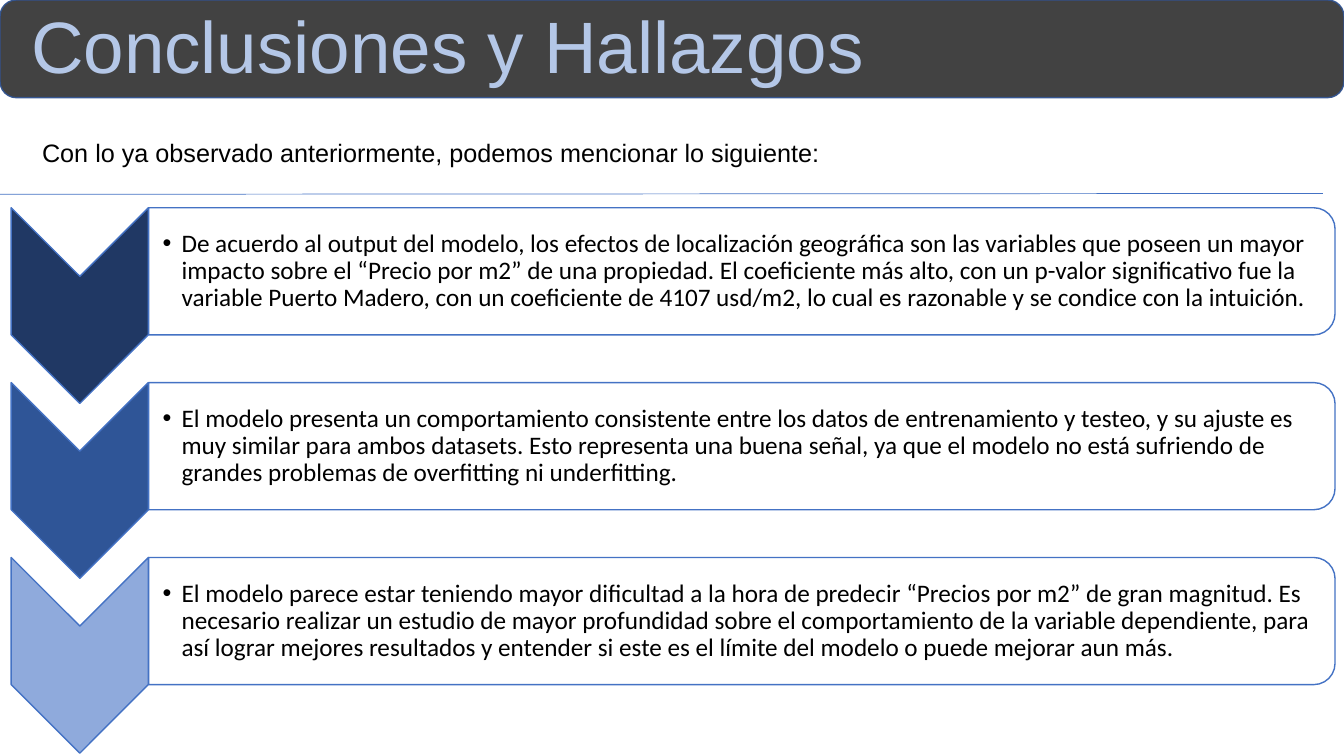
"""Build the slide of conclusions and findings."""
from dataclasses import dataclass

from lxml import etree
from pptx import Presentation
from pptx.dml.color import RGBColor
from pptx.enum.shapes import MSO_CONNECTOR, MSO_SHAPE
from pptx.enum.text import MSO_ANCHOR, MSO_AUTO_SIZE, PP_ALIGN
from pptx.oxml.ns import qn
from pptx.util import Pt

ROUND = MSO_SHAPE.ROUNDED_RECTANGLE
CHEVRON = MSO_SHAPE.CHEVRON
TOP_ROUND = MSO_SHAPE.ROUND_2_SAME_RECTANGLE
STRAIGHT = MSO_CONNECTOR.STRAIGHT
MIDDLE = MSO_ANCHOR.MIDDLE
TOP = MSO_ANCHOR.TOP
NO_FIT = MSO_AUTO_SIZE.NONE
LEFT = PP_ALIGN.LEFT
TITLE_ONLY = 5


@dataclass(frozen=True)
class Theme:
    """Colours, fonts and type sizes."""
    black: str = "000000"
    white: str = "FFFFFF"
    title: str = "B4C7E7"
    edge: str = "325491"
    line: str = "4472C4"
    steps: tuple = ("203864", "2F5597", "8FAADC")
    head: str = "Arial"
    body: str = "Calibri"
    big: int = 52
    small: int = 18


THEME = Theme()
POINTS = (
    "De acuerdo al output del modelo, los efectos de localización geográfica "
    "son las variables que poseen un mayor impacto sobre el “Precio por m2” de "
    "una propiedad. El coeficiente más alto, con un p-valor significativo fue la "
    "variable Puerto Madero, con un coeficiente de 4107 usd/m2, lo cual es "
    "razonable y se condice con la intuición.",
    "El modelo presenta un comportamiento consistente entre los datos de "
    "entrenamiento y testeo, y su ajuste es muy similar para ambos datasets. "
    "Esto representa una buena señal, ya que el modelo no está sufriendo de "
    "grandes problemas de overfitting ni underfitting.",
    "El modelo parece estar teniendo mayor dificultad a la hora de predecir "
    "“Precios por m2” de gran magnitud. Es necesario realizar un estudio de "
    "mayor profundidad sobre el comportamiento de la variable dependiente, para "
    "así lograr mejores resultados y entender si este es el límite del modelo o "
    "puede mejorar aun más.",
)
FIRST_TOP, PITCH = 148.4, 124.9
STEP_LEFT, STEP_WIDE, STEP_HIGH = 8, 98, 139.8
BOX_LEFT, BOX_WIDE, BOX_HIGH = 106.2, 847.4, 90.8


def color(text):
    """Turn a hex string into a colour."""
    return RGBColor.from_string(text)


def fade(part, share):
    """Set the opacity, in percent, of a solid fill element."""
    tone = part.find(qn("a:solidFill")).find(qn("a:srgbClr"))
    etree.SubElement(tone, qn("a:alpha")).set("val", str(share * 1000))


def add_form(slide, kind, box, fill, line, turn=0):
    """Add a filled preset shape whose drawn bounds are box."""
    left, top, wide, high = box
    if turn:
        left, top = left + (wide - high) / 2, top + (high - wide) / 2
        wide, high = high, wide
    form = slide.shapes.add_shape(kind, Pt(left), Pt(top), Pt(wide), Pt(high))
    form.rotation = turn
    form.shadow.inherit = False
    form.fill.solid()
    form.fill.fore_color.rgb = color(fill)
    form.line.color.rgb = color(line)
    form.line.width = Pt(1)
    return form


def set_text(shape, text, font, size, tone, anchor=MIDDLE):
    """Write one left-aligned paragraph and return it."""
    frame = shape.text_frame
    frame.text = text
    frame.word_wrap = True
    frame.auto_size = NO_FIT
    frame.vertical_anchor = anchor
    para = frame.paragraphs[0]
    para.alignment = LEFT
    face = para.runs[0].font
    face.name, face.size, face.color.rgb = font, Pt(size), color(tone)
    return para


def add_bullet(para, indent):
    """Give a paragraph a round bullet and a hanging indent."""
    props = para._p.get_or_add_pPr()
    props.set("marL", str(Pt(indent)))
    props.set("indent", str(-Pt(indent)))
    etree.SubElement(props, qn("a:buFont")).set("typeface", "Arial")
    etree.SubElement(props, qn("a:buChar")).set("char", "•")


def add_title(slide):
    """Add the dark band and set the title over it."""
    band = add_form(slide, ROUND, (0, 0, 960, 69.8), THEME.black, THEME.edge)
    props = band.element.spPr
    fade(props, 74)
    fade(props.find(qn("a:ln")), 94)
    title = slide.shapes.title
    title.element.addprevious(band.element)
    title.left, title.top = Pt(15), Pt(1.4)
    title.width, title.height = Pt(786), Pt(68.4)
    para = set_text(title, "Conclusiones y Hallazgos",
                    THEME.head, THEME.big, THEME.title)
    para.line_spacing = 0.9


def add_intro(slide):
    """Add the opening sentence and the rule below it."""
    intro = slide.shapes.add_textbox(Pt(23), Pt(94.3), Pt(919.4), Pt(29))
    set_text(intro, "Con lo ya observado anteriormente, podemos mencionar "
             "lo siguiente:", THEME.head, THEME.small, THEME.black, TOP)
    rule = slide.shapes.add_connector(
        STRAIGHT, Pt(0), Pt(138.8), Pt(945), Pt(138.2))
    rule.line.color.rgb = color(THEME.line)
    rule.line.width = Pt(0.5)
    etree.SubElement(rule.element.spPr, qn("a:effectLst"))


def add_point(slide, top, text, fill):
    """Add a chevron with its bulleted box."""
    add_form(slide, CHEVRON, (STEP_LEFT, top, STEP_WIDE, STEP_HIGH),
             fill, THEME.line, 90)
    box = add_form(slide, TOP_ROUND, (BOX_LEFT, top, BOX_WIDE, BOX_HIGH),
                   THEME.white, THEME.line, 90)
    fade(box.element.spPr, 90)
    label = slide.shapes.add_textbox(
        Pt(BOX_LEFT), Pt(top + 4.4), Pt(BOX_WIDE - 4.6), Pt(BOX_HIGH - 8.8))
    para = set_text(label, text, THEME.body, THEME.small, THEME.black)
    para.line_spacing = 0.9
    para.space_after = Pt(2.7)
    add_bullet(para, 13.5)
    frame = label.text_frame
    frame.margin_left = Pt(10)
    frame.margin_right = frame.margin_top = frame.margin_bottom = Pt(0.9)


def main():
    """Build and save the slide."""
    deck = Presentation()
    deck.slide_width, deck.slide_height = Pt(960), Pt(540)
    slide = deck.slides.add_slide(deck.slide_layouts[TITLE_ONLY])
    add_title(slide)
    add_intro(slide)
    for row, (text, fill) in enumerate(zip(POINTS, THEME.steps)):
        add_point(slide, FIRST_TOP + row * PITCH, text, fill)
    deck.save("out.pptx")


main()
